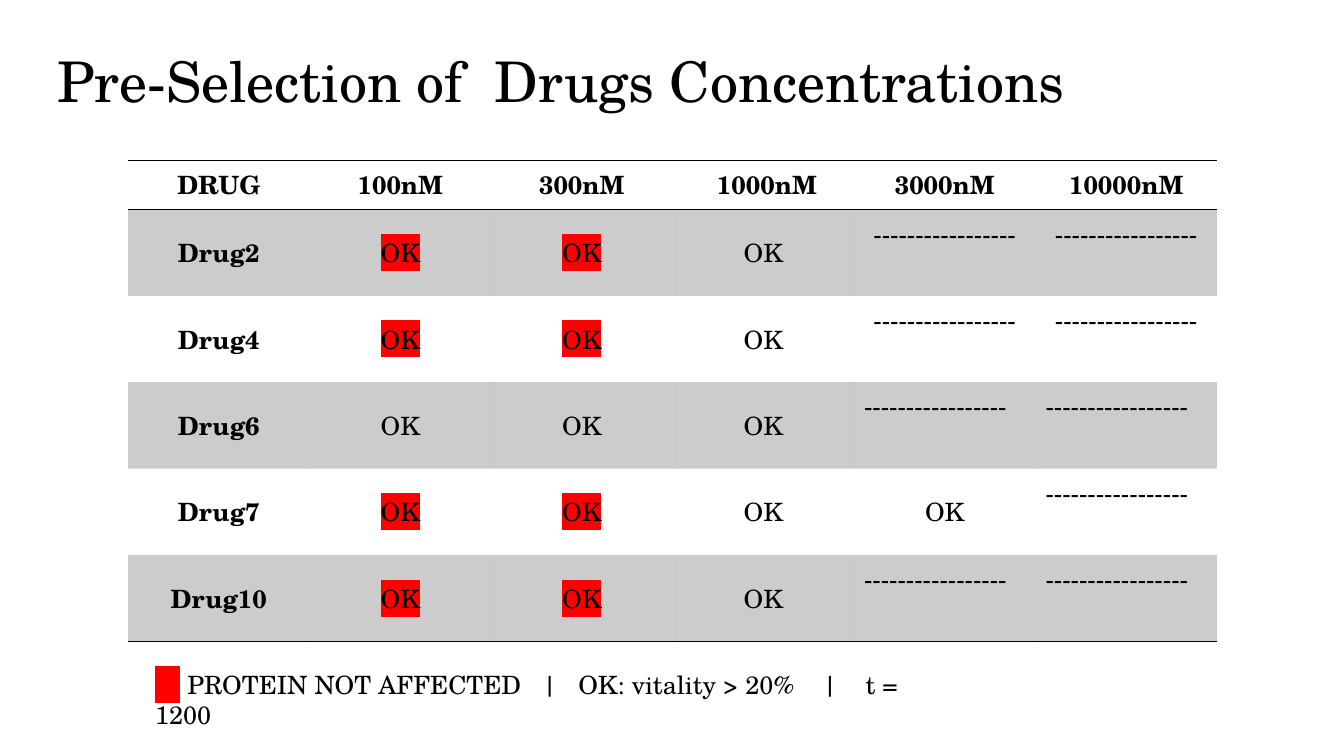
from dataclasses import dataclass

from lxml.etree import SubElement as Sub
from pptx import Presentation
from pptx.dml.color import RGBColor as Rgb
from pptx.enum.text import MSO_ANCHOR as Anchor, MSO_AUTO_SIZE as Fit, PP_ALIGN as Align
from pptx.oxml.ns import qn
from pptx.util import Emu, Pt

SCALE = 9144
COLORS = {"ink": "000000", "mark": "FF0000"}
FONT = "TeX Gyre Schola"
PLAIN_STYLE = "{2D5ABB26-0587-4C30-8999-92F81FD0307C}"
COL_W, HEAD_H, ROW_H = 180, 43, 84
DASH = "-" * 17


@dataclass
class Box:
    left: int
    top: int
    width: int
    height: int

    def place(self) -> list[Emu]:
        return [px(n) for n in (self.left, self.top, self.width, self.height)]


@dataclass
class Piece:
    text: str
    size: int = 18
    bold: bool = False
    color: str = "ink"
    mark: bool = False


@dataclass
class Entry:
    piece: Piece
    align: Align = Align.CENTER
    anchor: Anchor = Anchor.MIDDLE
    foot: int = 5


@dataclass
class Label:
    box: Box
    words: list[Piece]
    fit: Fit = Fit.NONE
    space: float = 1.0


MARKS = {
    "R": Entry(Piece("OK", mark=True)),
    "O": Entry(Piece("OK")),
    "C": Entry(Piece(DASH), anchor=Anchor.BOTTOM, foot=44),
    "L": Entry(Piece(DASH), Align.LEFT, Anchor.BOTTOM, 44),
}
HEADS = ["DRUG", "100nM", "300nM", " 1000nM", "3000nM", "10000nM"]
DRUGS = {
    "Drug2": "RROCC",
    "Drug4": "RROCC",
    "Drug6": "OOOLL",
    "Drug7": "RROOL",
    "Drug10": "RROLL",
}
GRID = Box(127, 159, COL_W * len(HEADS), HEAD_H + ROW_H * len(DRUGS))
LABELS = [
    Label(
        Box(144, 659, 773, 40),
        [
            Piece("__", color="mark", mark=True),
            Piece(" PROTEIN NOT AFFECTED   |   OK: vitality > 20%    |    t = 1200"),
        ],
        fit=Fit.SHAPE_TO_FIT_TEXT,
    ),
    Label(
        Box(47, 49, 1213, 645),
        [Piece("Pre-Selection of  Drugs Concentrations", size=40)],
        space=0.9,
    ),
]


def px(count: int) -> Emu:
    return Emu(count * SCALE)


def add_piece(para, piece: Piece) -> None:
    run = para.add_run()
    run.text = piece.text
    form = {"name": FONT, "size": Pt(piece.size), "bold": piece.bold}
    for key, value in form.items():
        setattr(run.font, key, value)
    run.font.color.rgb = Rgb.from_string(COLORS[piece.color])
    if piece.mark:
        props = run.font._element
        light = Sub(props, qn("a:highlight"))
        Sub(light, qn("a:srgbClr"), val=COLORS["mark"])
        props.find(qn("a:solidFill")).addnext(light)


def add_edge(cell, side: str, slot: int) -> None:
    props = cell._tc.get_or_add_tcPr()
    line = Sub(props, qn(f"a:{side}"), w=str(Pt(1)))
    Sub(Sub(line, qn("a:solidFill")), qn("a:srgbClr"), val=COLORS["ink"])
    props.insert(slot, line)


def shade(cell) -> None:
    cell.fill.solid()
    cell.fill.fore_color.rgb = Rgb.from_string(COLORS["ink"])
    for tint in cell._tc.tcPr.iter(qn("a:srgbClr")):
        Sub(tint, qn("a:alpha"), val="20000")


def fill_cell(cell, entry: Entry, row: int) -> None:
    form = {"vertical_anchor": entry.anchor, "margin_bottom": px(entry.foot)}
    for key, value in form.items():
        setattr(cell, key, value)
    para = cell.text_frame.paragraphs[0]
    para.alignment = entry.align
    add_piece(para, entry.piece)
    if row % 2:
        shade(cell)
    else:
        cell.fill.background()
    sides = {0: ["lnT", "lnB"], len(DRUGS): ["lnB"]}.get(row, [])
    for slot, side in enumerate(sides):
        add_edge(cell, side, slot)


def add_grid(slide) -> None:
    rows = [[Entry(Piece(head, bold=True)) for head in HEADS]]
    for name, marks in DRUGS.items():
        rows.append([Entry(Piece(name, bold=True))] + [MARKS[m] for m in marks])
    frame = slide.shapes.add_table(len(rows), len(HEADS), *GRID.place())
    table = frame.table
    for style in frame._element.iter(qn("a:tableStyleId")):
        style.text = PLAIN_STYLE
    table.horz_banding = False
    for col in table.columns:
        col.width = px(COL_W)
    for r, row in enumerate(rows):
        table.rows[r].height = px(ROW_H if r else HEAD_H)
        for c, entry in enumerate(row):
            fill_cell(table.cell(r, c), entry, r)


def add_label(slide, label: Label) -> None:
    frame = slide.shapes.add_textbox(*label.box.place()).text_frame
    form = {"word_wrap": True, "auto_size": label.fit, "vertical_anchor": Anchor.TOP}
    for key, value in form.items():
        setattr(frame, key, value)
    para = frame.paragraphs[0]
    para.line_spacing = label.space
    for piece in label.words:
        add_piece(para, piece)


def main() -> None:
    deck = Presentation()
    deck.slide_width, deck.slide_height = px(1333), px(750)
    slide = deck.slides.add_slide(deck.slide_layouts[6])
    add_grid(slide)
    for label in LABELS:
        add_label(slide, label)
    deck.save("out.pptx")


if __name__ == "__main__":
    main()
